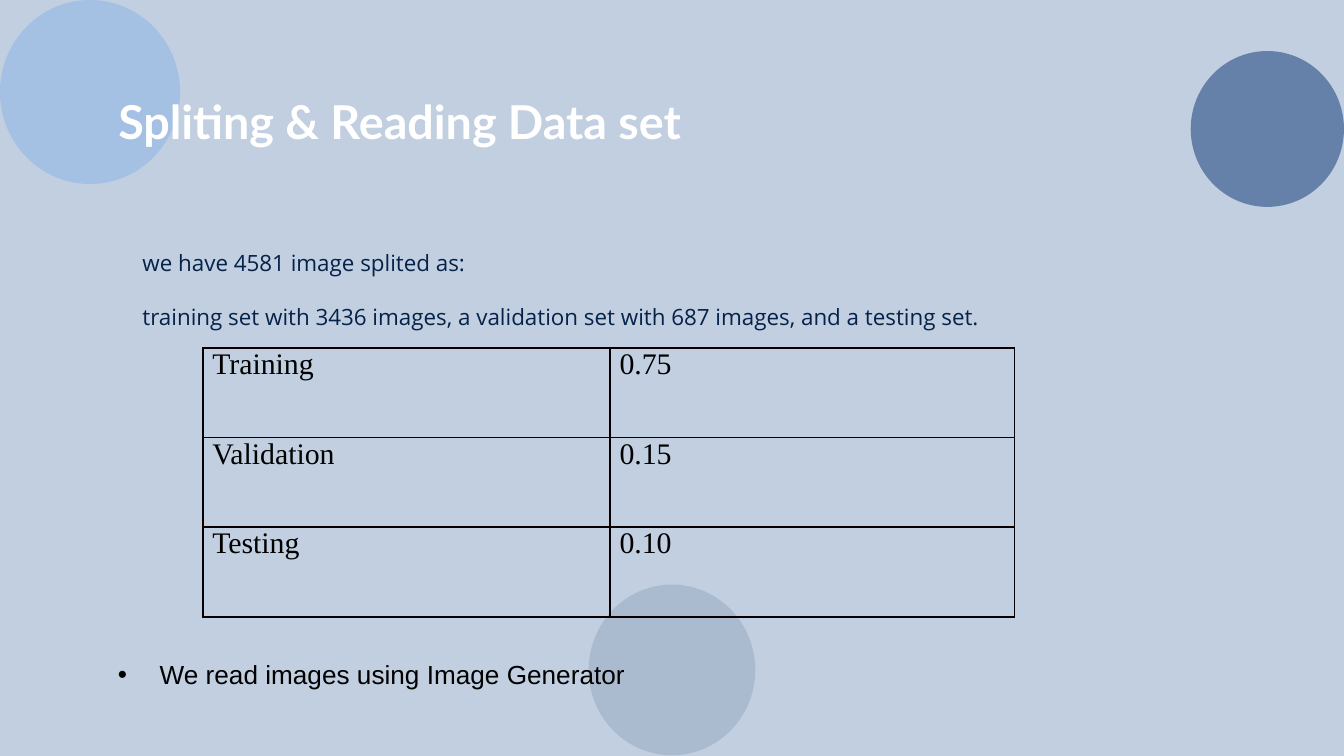
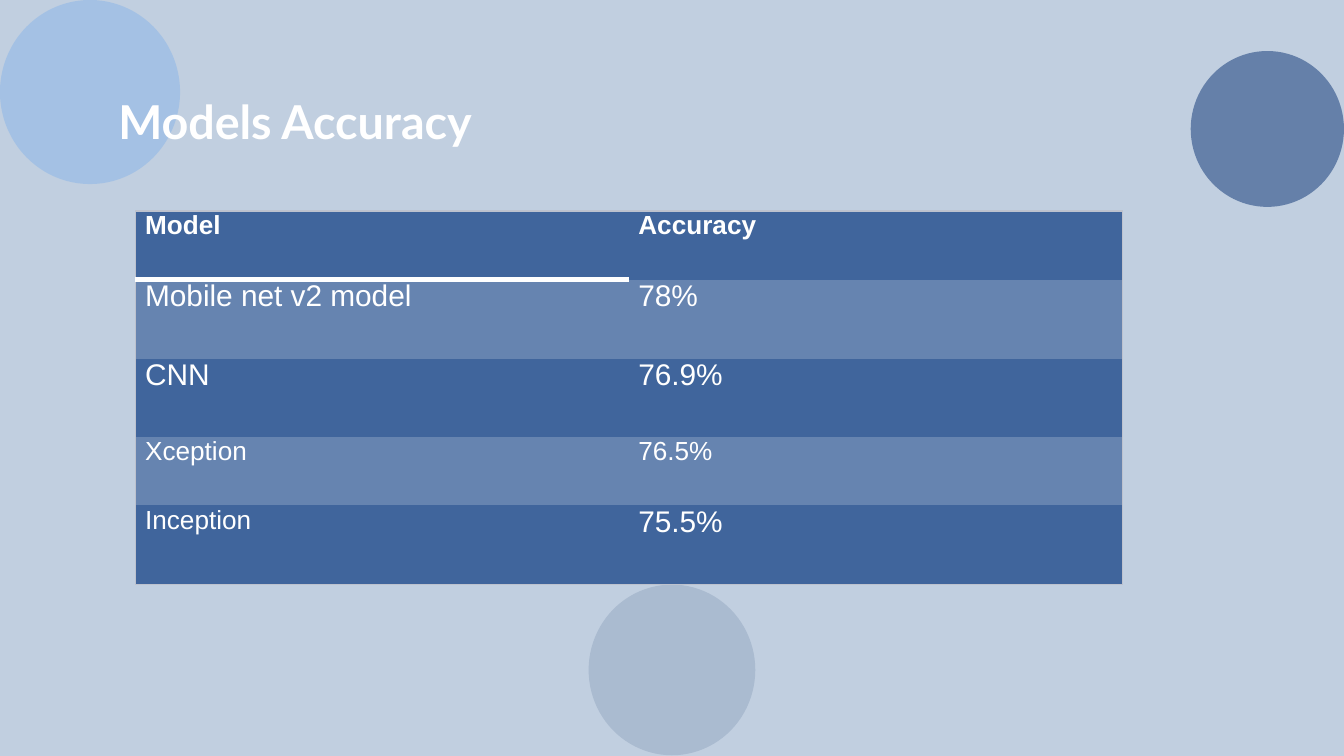
import pptx
import pptx.util
import pptx.dml.color
import pptx.enum.shapes
import pptx.enum.text
import pptx.oxml.ns
from lxml import etree

Inches = pptx.util.Inches
Pt = pptx.util.Pt
RGBColor = pptx.dml.color.RGBColor
qn = pptx.oxml.ns.qn

BACKGROUND = RGBColor(0xC1, 0xCF, 0xE0)
SKY = RGBColor(0x7D, 0xB0, 0xEB)
MIST = RGBColor(0xAA, 0xBB, 0xD0)
STEEL = RGBColor(0x65, 0x80, 0xA9)
NAVY = RGBColor(0x05, 0x22, 0x49)
WHITE = RGBColor(0xFF, 0xFF, 0xFF)
BLACK = RGBColor(0x00, 0x00, 0x00)
GRID = RGBColor(0x08, 0x00, 0x00)
FRAME = RGBColor(0xBD, 0xC2, 0xCE)
ROW_DARK = RGBColor(0x40, 0x65, 0x9C)
ROW_LIGHT = RGBColor(0x66, 0x84, 0xB0)
PLAIN_TABLE_STYLE = "{2D5ABB26-0587-4C30-8999-92F81FD0307C}"


def style_font(font, name, size, color, bold=False):
    font.name = name
    font.size = Pt(size)
    font.color.rgb = color
    font.bold = bold


def add_plain_table(slide, rows, left, top, column_widths, row_heights):
    table = slide.shapes.add_table(
        len(rows), len(column_widths), Inches(left), Inches(top),
        Inches(sum(column_widths)), Inches(sum(row_heights))).table
    table._tbl.tblPr.find(qn("a:tableStyleId")).text = PLAIN_TABLE_STYLE
    table.horz_banding = False
    for column, width in zip(table.columns, column_widths):
        column.width = Inches(width)
    for row, height, texts in zip(table.rows, row_heights, rows):
        row.height = Inches(height)
        for cell, text in zip(row.cells, texts):
            cell.text = text
            cell.margin_left = cell.margin_right = Inches(0.07)
            cell.margin_top = cell.margin_bottom = 0
    return table


presentation = pptx.Presentation()
presentation.slide_width = Inches(10)
presentation.slide_height = Inches(10) * 9 // 16

master = presentation.slide_master
master.background.fill.solid()
master.background.fill.fore_color.rgb = BACKGROUND

split_slide = presentation.slides.add_slide(presentation.slide_layouts[1])
accuracy_slide = presentation.slides.add_slide(presentation.slide_layouts[5])

circles = [
    (0, 0, 1.34, 1.37, SKY, 42),
    (4.38, 4.35, 1.24, 1.27, MIST, 100),
    (8.86, 0.38, 1.14, 1.16, STEEL, 100),
]
for number, (left, top, width, height, color, opacity) in enumerate(circles, 101):
    circle = split_slide.shapes.add_shape(
        pptx.enum.shapes.MSO_SHAPE.OVAL,
        Inches(left), Inches(top), Inches(width), Inches(height))
    circle.shadow.inherit = False
    circle.fill.solid()
    circle.fill.fore_color.rgb = color
    circle.line.fill.background()
    if opacity < 100:
        color_element = circle._element.spPr.find(qn("a:solidFill"))[0]
        etree.SubElement(color_element, qn("a:alpha"), val=str(opacity * 1000))
    circle._element.nvSpPr.cNvPr.set("id", str(number))
    master.shapes._spTree.insert(2, circle._element)

titles = [
    (split_slide, "Spliting & Reading Data set"),
    (accuracy_slide, "Models Accuracy"),
]
for slide, text in titles:
    title = slide.shapes.title
    title.left, title.top = Inches(0.78), Inches(0.59)
    title.width, title.height = Inches(6.33), Inches(0.4)
    frame = title.text_frame
    frame.text = text
    frame.auto_size = pptx.enum.text.MSO_AUTO_SIZE.NONE
    frame.vertical_anchor = pptx.enum.text.MSO_ANCHOR.TOP
    frame.margin_left = frame.margin_right = Inches(0.1)
    frame.margin_top = frame.margin_bottom = Inches(0.1)
    paragraph = frame.paragraphs[0]
    paragraph.alignment = pptx.enum.text.PP_ALIGN.LEFT
    style_font(paragraph.font, "Lato", 25, WHITE, True)

body = split_slide.placeholders[1]
body.left, body.top = Inches(0.78), Inches(1.13)
body.width, body.height = Inches(8.44), Inches(4.24)
frame = body.text_frame
frame.text = (
    "we have 4581 image splited as:\n"
    "training set with 3436 images, a validation set with 687 images, and a testing set.")
frame.auto_size = pptx.enum.text.MSO_AUTO_SIZE.NONE
frame.vertical_anchor = pptx.enum.text.MSO_ANCHOR.TOP
frame.margin_left = frame.margin_right = Inches(0.1)
frame.margin_top = Inches(0.72)
for paragraph, space in zip(frame.paragraphs, (0, 14.7)):
    properties = paragraph._p.get_or_add_pPr()
    properties.set("marL", str(Inches(0.18)))
    properties.set("indent", "0")
    etree.SubElement(properties, qn("a:buNone"))
    paragraph.space_before = Pt(space)
    style_font(paragraph.font, "Open Sans", 12, NAVY)

split_rows = [("Training", "0.75"), ("Validation", "0.15"), ("Testing", "0.10")]
split_table = add_plain_table(
    split_slide, split_rows, 1.51, 2.59, [3.03, 3.01], [2 / 3] * 3)
split_table.first_row = False
for cell in split_table.iter_cells():
    style_font(cell.text_frame.paragraphs[0].font, "Times New Roman", 16, BLACK)

note = split_slide.shapes.add_textbox(
    Inches(0.78), Inches(4.85), Inches(5.16), Inches(0.34))
note.text_frame.word_wrap = True
paragraph = note.text_frame.paragraphs[0]
paragraph.text = "We read images using Image Generator"
properties = paragraph._p.get_or_add_pPr()
properties.set("marL", str(Inches(0.31)))
properties.set("indent", str(-Inches(0.31)))
bullet_color = etree.SubElement(properties, qn("a:buClr"))
etree.SubElement(bullet_color, qn("a:srgbClr"), val=str(BLACK))
etree.SubElement(properties, qn("a:buFont"), typeface="Arial")
etree.SubElement(properties, qn("a:buChar"), char="•")
style_font(paragraph.font, "Arial", 14, BLACK)

accuracy_rows = [
    ("Model", "Accuracy"),
    ("Mobile net v2 model", "78%"),
    ("CNN", "76.9%"),
    ("Xception", "76.5%"),
    ("Inception", "75.5%"),
]
accuracy_sizes = [(14, 14), (16, 16), (16, 16), (14, 14), (14, 16)]
accuracy_table = add_plain_table(
    accuracy_slide, accuracy_rows, 1.01, 1.57, [3.67] * 2,
    [0.51, 0.59, 0.58, 0.51, 0.59])
for row_index, sizes in enumerate(accuracy_sizes):
    for column_index, size in enumerate(sizes):
        cell = accuracy_table.cell(row_index, column_index)
        style_font(cell.text_frame.paragraphs[0].font, "Arial", size, WHITE, row_index == 0)

for table in (split_table, accuracy_table):
    last_row = len(table.rows) - 1
    for row_index, row in enumerate(table.rows):
        for column_index, cell in enumerate(row.cells):
            if table is split_table:
                borders = {side: (GRID, 1) for side in "LRTB"}
            else:
                borders = {"L" if column_index == 0 else "R": (FRAME, 0.75)}
                if row_index == 0:
                    borders["T"] = (FRAME, 0.75)
                    if column_index == 0:
                        borders["B"] = (WHITE, 3)
                elif row_index == last_row:
                    borders["B"] = (FRAME, 0.75)
            cell_properties = cell._tc.get_or_add_tcPr()
            for side, (color, width) in borders.items():
                line = etree.SubElement(cell_properties, qn("a:ln" + side), w=str(Pt(width)))
                line_fill = etree.SubElement(line, qn("a:solidFill"))
                etree.SubElement(line_fill, qn("a:srgbClr"), val=str(color))
            if table is split_table:
                cell.fill.background()
            else:
                cell.fill.solid()
                cell.fill.fore_color.rgb = ROW_LIGHT if row_index % 2 else ROW_DARK

presentation.save("out.pptx")
